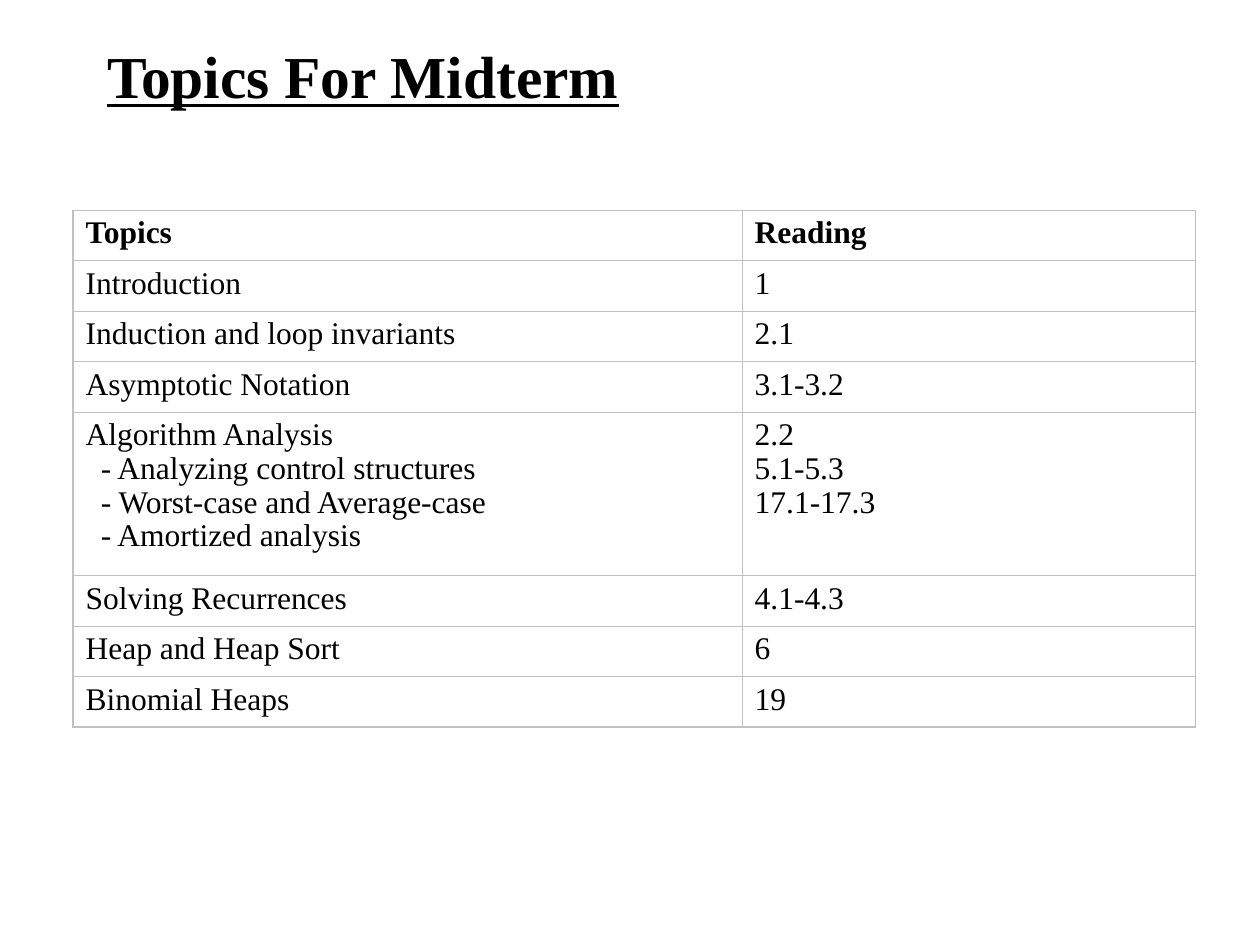
from typing import NamedTuple

from lxml.etree import SubElement
from pptx import Presentation
from pptx.dml.color import RGBColor
from pptx.enum.text import MSO_ANCHOR, PP_ALIGN
from pptx.oxml.ns import qn
from pptx.util import Inches, Pt

SLIDE_WIDTH, SLIDE_HEIGHT = Inches(10), Inches(7.5)
COLORS = {"text": "000000", "border": "C0C0C0"}
FONT = "Times New Roman"
LINE_SPACING = 0.97
ITEM_INDENT = Inches(0.12)
OUTER_LINE, INNER_LINE = Pt(0.96), Pt(0.45)
COLUMN_WIDTHS = (5.31, 3.6)
ROW_HEIGHT, TALL_ROW_HEIGHT = 0.4, 1.3

TITLE_FORMAT = {"size": Pt(34), "bold": True, "underline": True}
HEADER_FORMAT = {"size": Pt(18), "bold": True}
BODY_FORMAT = {"size": Pt(18), "bold": False}


class TopicRow(NamedTuple):
    topics: tuple[str, ...]
    readings: tuple[str, ...]


ROWS = (
    TopicRow(("Topics",), ("Reading",)),
    TopicRow(("Introduction",), ("1",)),
    TopicRow(("Induction and loop invariants",), ("2.1",)),
    TopicRow(("Asymptotic Notation",), ("3.1-3.2",)),
    TopicRow(
        ("Algorithm Analysis", "- Analyzing control structures",
         "- Worst-case and Average-case", "- Amortized analysis"),
        ("2.2", "5.1-5.3", "17.1-17.3"),
    ),
    TopicRow(("Solving Recurrences",), ("4.1-4.3",)),
    TopicRow(("Heap and Heap Sort",), ("6",)),
    TopicRow(("Binomial Heaps",), ("19",)),
)


def write_lines(text_frame, lines: tuple[str, ...], font_format: dict) -> None:
    """Write one paragraph per line, indenting the dashed items."""
    text_frame.text = "\n".join(lines)
    for paragraph in text_frame.paragraphs:
        paragraph.alignment = PP_ALIGN.LEFT
        paragraph.line_spacing = LINE_SPACING
        if paragraph.text.startswith("- "):
            paragraph._p.get_or_add_pPr().set("marL", str(ITEM_INDENT))
        font = paragraph.runs[0].font
        font.name = FONT
        font.color.rgb = RGBColor.from_string(COLORS["text"])
        for name, value in font_format.items():
            setattr(font, name, value)


def draw_borders(cell, outer_sides: dict[str, bool]) -> None:
    """Draw the four cell borders, heavier along the edge of the table."""
    properties = cell._tc.get_or_add_tcPr()
    for position, (side, is_outer) in enumerate(outer_sides.items()):
        width = OUTER_LINE if is_outer else INNER_LINE
        line = SubElement(properties, qn(f"a:{side}"), w=str(width))
        fill = SubElement(line, qn("a:solidFill"))
        SubElement(fill, qn("a:srgbClr"), val=COLORS["border"])
        properties.insert(position, line)


def add_title(slide, text: str) -> None:
    title = slide.shapes.title
    title.left, title.top = int(SLIDE_WIDTH * 0.075), Inches(0.33)
    title.width, title.height = int(SLIDE_WIDTH * 0.675), Inches(0.58)
    title.text_frame.vertical_anchor = MSO_ANCHOR.MIDDLE
    write_lines(title.text_frame, (text,), TITLE_FORMAT)


def add_topic_table(slide, rows: tuple[TopicRow, ...]) -> None:
    heights = [TALL_ROW_HEIGHT if len(row.topics) > 1 else ROW_HEIGHT for row in rows]
    frame = slide.shapes.add_table(
        len(rows), len(COLUMN_WIDTHS), Inches(0.58), Inches(1.67),
        Inches(sum(COLUMN_WIDTHS)), Inches(sum(heights)))
    table = frame.table
    table.first_row = table.horz_banding = False
    for column, width in zip(table.columns, COLUMN_WIDTHS):
        column.width = Inches(width)

    last_row, last_column = len(rows) - 1, len(COLUMN_WIDTHS) - 1
    for row_index, row in enumerate(rows):
        table.rows[row_index].height = Inches(heights[row_index])
        for column_index, lines in enumerate(row):
            cell = table.cell(row_index, column_index)
            cell.fill.background()
            write_lines(cell.text_frame, lines,
                        BODY_FORMAT if row_index else HEADER_FORMAT)
            draw_borders(cell, {
                "lnL": column_index == 0,
                "lnR": column_index == last_column,
                "lnT": row_index == 0,
                "lnB": row_index == last_row,
            })


def main() -> None:
    presentation = Presentation()
    presentation.slide_width, presentation.slide_height = SLIDE_WIDTH, SLIDE_HEIGHT
    # Title-only layout
    slide = presentation.slides.add_slide(presentation.slide_layouts[5])
    add_title(slide, "Topics For Midterm")
    add_topic_table(slide, ROWS)
    presentation.save("out.pptx")


if __name__ == "__main__":
    main()
